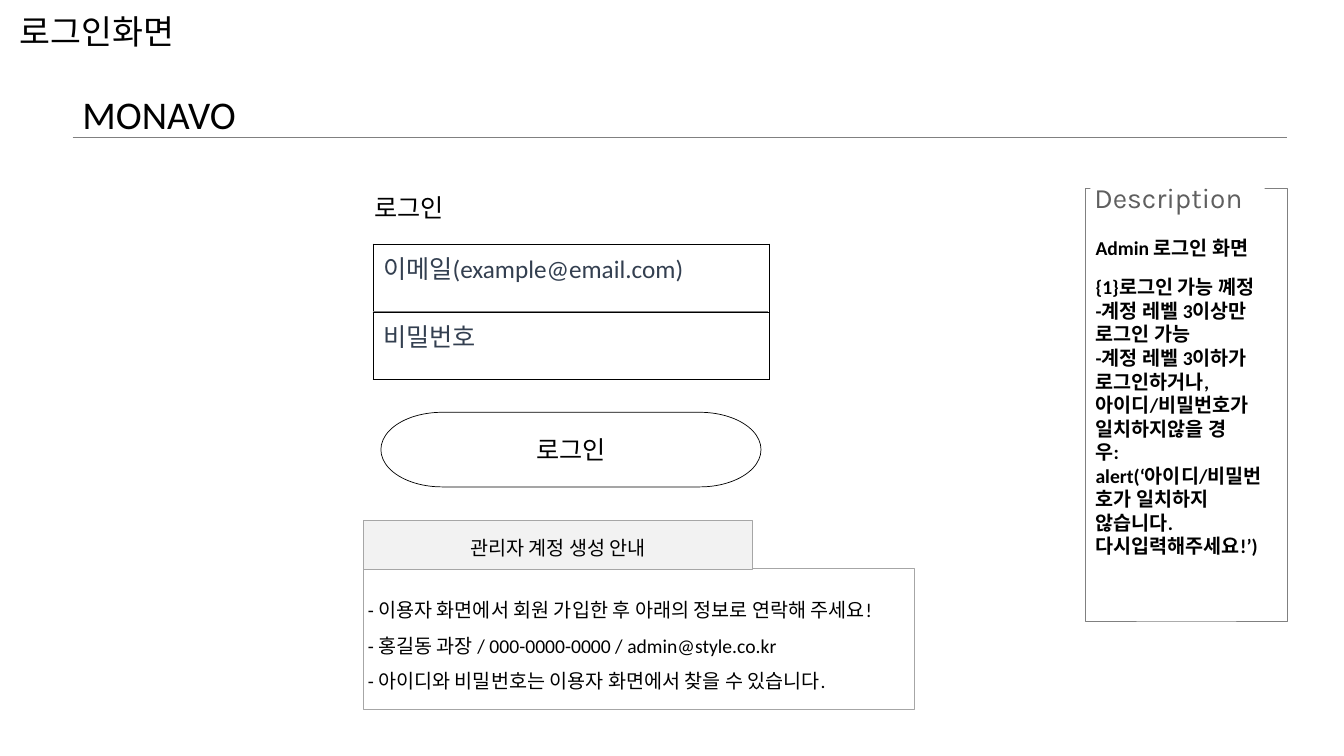
"""Builds the wireframe slide of an admin login screen."""
from dataclasses import dataclass

from lxml import etree
from pptx import Presentation
from pptx.dml.color import RGBColor
from pptx.enum import shapes, text
from pptx.oxml import ns
from pptx.util import Cm, Pt

BLACK = RGBColor(0x00, 0x00, 0x00)
WHITE = RGBColor(0xFF, 0xFF, 0xFF)
SLATE = RGBColor(0x33, 0x3F, 0x50)
CAPTION_GRAY = RGBColor(0x5F, 0x5F, 0x5F)
RULE_GRAY = RGBColor(0x80, 0x80, 0x80)
BORDER_GRAY = RGBColor(0xA6, 0xA6, 0xA6)
TAB_GRAY = RGBColor(0xF2, 0xF2, 0xF2)

LEFT = text.PP_ALIGN.LEFT
CENTER = text.PP_ALIGN.CENTER
MIDDLE = text.MSO_ANCHOR.MIDDLE
TOP = text.MSO_ANCHOR.TOP
RECTANGLE = shapes.MSO_SHAPE.RECTANGLE
TIGHT = (0.1, 0.1, 0.1, 0.1)


@dataclass(frozen=True)
class TextStyle:
    """Look of the paragraphs in one text frame."""
    size: float
    color: RGBColor = BLACK
    font: str = "Calibri"
    bold: bool = False
    align: text.PP_ALIGN = LEFT
    line_spacing: float = 1.0


@dataclass(frozen=True)
class Box:
    """A filled or outlined shape; lengths in centimetres."""
    bounds: tuple[float, float, float, float]
    lines: tuple[str, ...]
    style: TextStyle
    kind: shapes.MSO_SHAPE = RECTANGLE
    fill: RGBColor | None = WHITE
    border: RGBColor | None = None
    border_width: float = 0.5
    anchor: text.MSO_ANCHOR = MIDDLE
    insets: tuple[float, float, float, float] = (0.25, 0.13, 0.25, 0.13)
    wrap: bool = True


@dataclass(frozen=True)
class Label:
    """A plain text box; lengths in centimetres."""
    bounds: tuple[float, float, float, float]
    line: str
    size: float


@dataclass(frozen=True)
class Rule:
    """A horizontal line; lengths in centimetres."""
    left: float
    right: float
    top: float


LABELS = (
    Label((1.83, 2.16, 4.39, 1.45), "MONAVO", 28),
    Label((9.19, 4.72, 2.97, 1.02), "로그인", 18),
)
RULES = (Rule(1.83, 32.44, 3.45), Rule(9.4, 19.36, 7.85))
FIELDS = ("이메일(example@email.com)", "비밀번호")
FORM_BOXES = (
    Box((9.6, 10.39, 9.58, 1.88), ("로그인",), TextStyle(18, align=CENTER),
        kind=shapes.MSO_SHAPE.FLOWCHART_TERMINATOR, border=BLACK),
    Box((9.17, 14.33, 13.89, 3.56),
        ("- 이용자 화면에서 회원 가입한 후 아래의 정보로 연락해 주세요!",
         "- 홍길동 과장 / 000-0000-0000 / admin@style.co.kr",
         "- 아이디와 비밀번호는 이용자 화면에서 찾을 수 있습니다."),
        TextStyle(14, line_spacing=1.5), fill=None, border=BORDER_GRAY,
        border_width=0.75, insets=TIGHT, wrap=False),
    Box((9.17, 13.11, 9.8, 1.24), ("관리자 계정 생성 안내",),
        TextStyle(14, align=CENTER, line_spacing=1.2), fill=TAB_GRAY,
        border=BORDER_GRAY, border_width=0.75, insets=TIGHT, wrap=False),
)
DESCRIPTION = Box(
    (27.36, 4.75, 5.08, 10.9),
    ("Admin 로그인 화면", "{1}로그인 가능 꼐정", "-계정 레벨 3이상만 로그인 가능",
     "-계정 레벨 3이하가 로그인하거나,",
     "아이디/비밀번호가 일치하지않을 경우:alert(‘아이디/비밀번호가 일치하지 "
     "않습니다. 다시입력해주세요!’)"),
    TextStyle(14, bold=True), border=RULE_GRAY, insets=(0.25, 0.13, 0.25, 0.52))
CAPTION = Box((27.48, 4.52, 4.39, 0.91), ("Description",),
              TextStyle(20, CAPTION_GRAY, "Karla"), anchor=TOP,
              insets=(0.1, 0.03, 0.1, 0.03))


def write(frame, lines: tuple[str, ...], style: TextStyle) -> None:
    """Fill a text frame with one paragraph per line."""
    for index, line in enumerate(lines):
        paragraph = frame.add_paragraph() if index else frame.paragraphs[0]
        paragraph.text = line
        paragraph.alignment = style.align
        paragraph.line_spacing = style.line_spacing
        paragraph.font.size = Pt(style.size)
        paragraph.font.name = style.font
        paragraph.font.bold = style.bold
        paragraph.font.color.rgb = style.color


def draw_box(parent, box: Box):
    """Draw a shape with its text."""
    shape = parent.add_shape(box.kind, *map(Cm, box.bounds))
    shape.shadow.inherit = False
    if box.fill is None:
        shape.fill.background()
    else:
        shape.fill.solid()
        shape.fill.fore_color.rgb = box.fill
    if box.border is None:
        shape.line.fill.background()
    else:
        shape.line.color.rgb = box.border
        shape.line.width = Pt(box.border_width)
    frame = shape.text_frame
    frame.word_wrap = box.wrap
    frame.vertical_anchor = box.anchor
    (frame.margin_left, frame.margin_top,
     frame.margin_right, frame.margin_bottom) = map(Cm, box.insets)
    write(frame, box.lines, box.style)
    return shape


def draw_label(parent, label: Label) -> None:
    """Draw a text box."""
    frame = parent.add_textbox(*map(Cm, label.bounds)).text_frame
    frame.word_wrap = True
    frame.auto_size = text.MSO_AUTO_SIZE.SHAPE_TO_FIT_TEXT
    write(frame, (label.line,), TextStyle(label.size))


def draw_rule(parent, rule: Rule) -> None:
    """Draw a thin horizontal line."""
    connector = parent.add_connector(shapes.MSO_CONNECTOR.STRAIGHT, Cm(rule.left),
                                     Cm(rule.top), Cm(rule.right), Cm(rule.top))
    connector.line.color.rgb = RULE_GRAY
    connector.line.width = Pt(0.5)
    etree.SubElement(connector.element.spPr, ns.qn("a:effectLst"))


def border_cell(cell) -> None:
    """Give a table cell thin black borders, placed ahead of its fill."""
    properties = cell._tc.get_or_add_tcPr()
    for index, side in enumerate(("lnL", "lnR", "lnT", "lnB")):
        line = etree.Element(ns.qn(f"a:{side}"), w=str(Pt(0.5)))
        fill = etree.SubElement(line, ns.qn("a:solidFill"))
        etree.SubElement(fill, ns.qn("a:srgbClr"), val=str(BLACK))
        properties.insert(index, line)


def draw_fields(parent) -> None:
    """Draw the table of input fields."""
    table = parent.add_table(len(FIELDS), 1, Cm(9.4), Cm(6.15), Cm(9.98), Cm(3.42)).table
    table.first_row = table.horz_banding = False
    for row, field in zip(table.rows, FIELDS):
        cell = row.cells[0]
        cell.fill.solid()
        cell.fill.fore_color.rgb = WHITE
        write(cell.text_frame, (field,), TextStyle(18, SLATE))
        border_cell(cell)


def main() -> None:
    """Build the slide and save it."""
    presentation = Presentation()
    presentation.slide_width, presentation.slide_height = Cm(33.87), Cm(19.05)
    slide = presentation.slides.add_slide(presentation.slide_layouts[5])
    title = slide.shapes.title
    title.left, title.top, title.width, title.height = map(Cm, (0.25, 0.41, 29.21, 0.89))
    title.text_frame.vertical_anchor = MIDDLE
    title.text_frame.auto_size = text.MSO_AUTO_SIZE.NONE
    write(title.text_frame, ("로그인화면",), TextStyle(24, line_spacing=0.9))
    draw_fields(slide.shapes)
    for rule in RULES:
        draw_rule(slide.shapes, rule)
    for label in LABELS:
        draw_label(slide.shapes, label)
    for box in FORM_BOXES:
        draw_box(slide.shapes, box)
    panel = slide.shapes.add_group_shape().shapes
    description = draw_box(panel, DESCRIPTION)
    description.text_frame.paragraphs[0].space_after = Pt(11)
    draw_box(panel, CAPTION)
    presentation.save("out.pptx")


if __name__ == "__main__":
    main()
